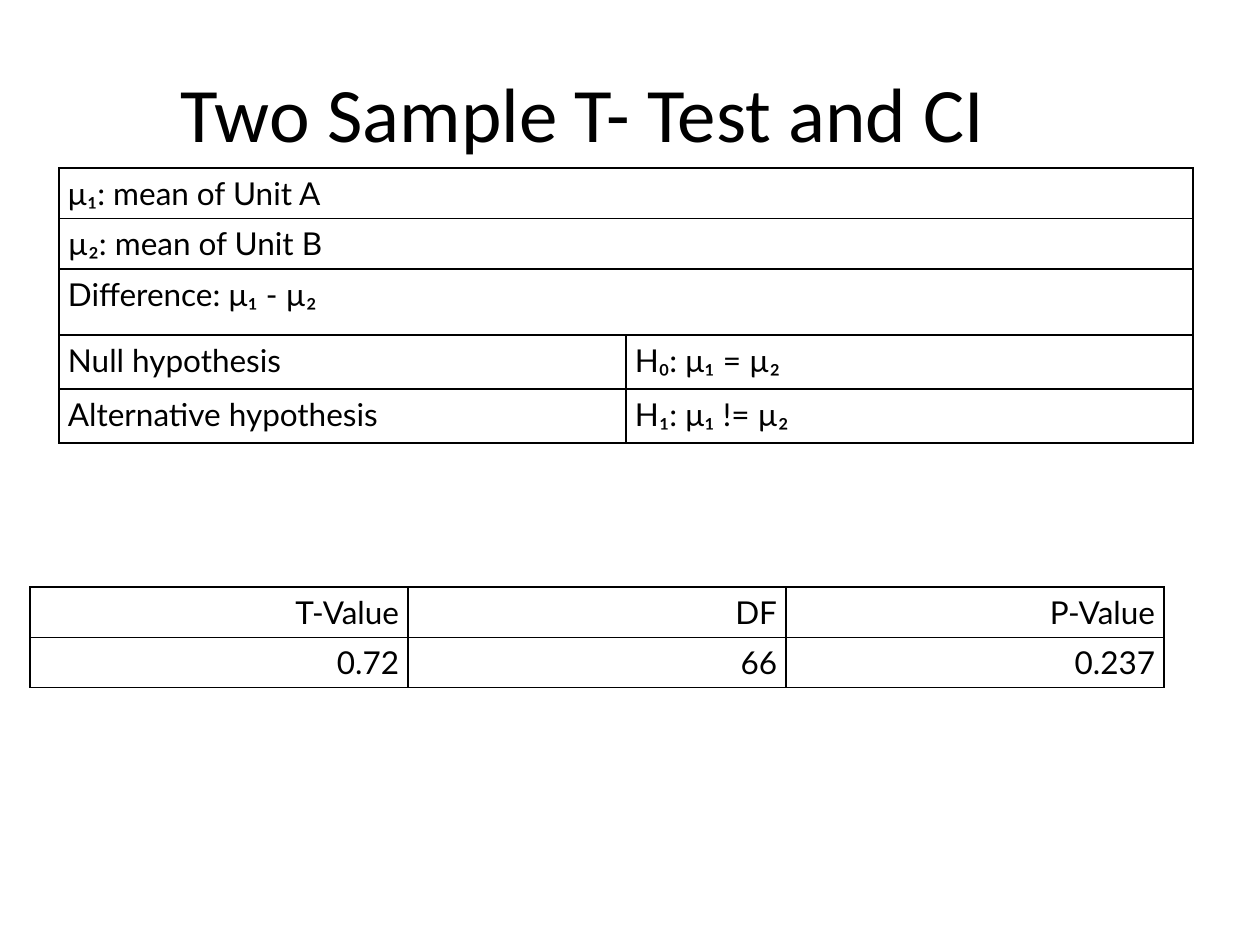
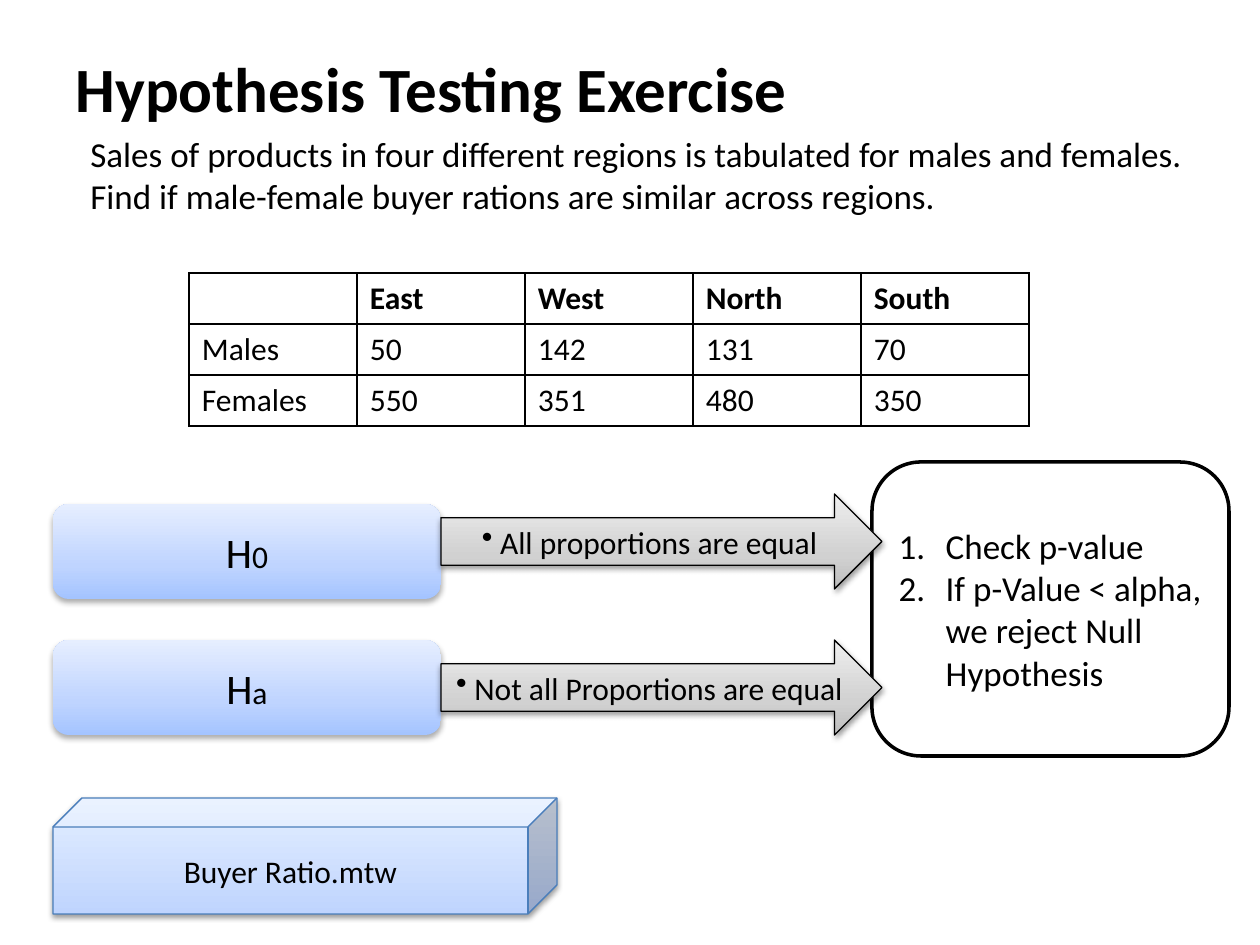
"""Build two slides on two-sample tests and a hypothesis testing exercise."""
from dataclasses import dataclass
from typing import Optional

from lxml import etree
from pptx import Presentation
from pptx import util as u
from pptx.dml.color import RGBColor
from pptx.enum import shapes, text
from pptx.oxml import ns

PX_PER_INCH = 126
TITLE_ONLY = 5


@dataclass(frozen=True)
class Theme:
    """Fonts, type sizes in points, and colours."""
    heading_font: str = "Calibri"
    data_font: str = "Lato"
    title: int = 44
    subtitle: int = 36
    symbol: int = 24
    body: int = 20
    label: int = 18
    ink: str = "000000"
    paper: str = "FFFFFF"
    cube_edge: str = "4A7EBB"
    cube_blue: tuple = ((0, "BFD4FE"), (100, "E5EFFF"))
    box_blue: tuple = ((0, "A4C4FF"), (35, "BFD4FF"), (100, "E6EEFF"))
    arrow_grey: tuple = ((0, "BDBDBD"), (35, "D1D1D1"), (100, "EEEEEE"))


THEME = Theme()


@dataclass(frozen=True)
class Box:
    """A rectangle in px."""
    left: int
    top: int
    width: int
    height: int

    def emu(self) -> tuple:
        """Return the rectangle in EMU."""
        return tuple(px(n) for n in (self.left, self.top, self.width, self.height))


@dataclass(frozen=True)
class Shadow:
    """A downward shadow: opacity in percent, blur and distance in points."""
    opacity: int
    blur: float
    distance: float


@dataclass(frozen=True)
class Grid:
    """A table with equal columns and its cell format."""
    left: int
    top: int
    column: int
    heights: tuple
    rows: tuple
    font: str = THEME.data_font
    align: text.PP_ALIGN = text.PP_ALIGN.LEFT
    inset: int = 9
    border: float = 1
    bold_header: bool = False


@dataclass(frozen=True)
class Panel:
    """A preset shape with its look."""
    kind: shapes.MSO_SHAPE
    gradient: tuple = ()
    line: Optional[str] = None
    weight: float = 0.75
    shadow: Optional[Shadow] = None


SOFT = Shadow(38, 3.1, 1.6)
DEEP = Shadow(32, 3.5, 2.2)
HYPOTHESIS = Panel(shapes.MSO_SHAPE.ROUNDED_RECTANGLE, THEME.box_blue, shadow=DEEP)
CLAIM = Panel(shapes.MSO_SHAPE.RIGHT_ARROW, THEME.arrow_grey, THEME.ink, shadow=SOFT)
DECISION = Panel(shapes.MSO_SHAPE.ROUNDED_RECTANGLE, line=THEME.ink, weight=2)
DATA_FILE = Panel(shapes.MSO_SHAPE.CUBE, THEME.cube_blue, THEME.cube_edge, shadow=SOFT)

MEANS = Grid(59, 168, 1134, (44, 44, 170), (
    ("μ₁: mean of Unit A",), ("µ₂: mean of Unit B",), ("Difference: μ₁ - µ₂",)))
HYPOTHESES = Grid(59, 335, 567, (54, 54), (
    ("Null hypothesis", "H₀: μ₁ = µ₂"), ("Alternative hypothesis", "H₁: μ₁ != µ₂")))
RESULTS = Grid(30, 587, 378, (50, 50), (
    ("T-Value", "DF", "P-Value"), ("0.72", "66", "0.237")),
    align=text.PP_ALIGN.RIGHT, border=0.75)
SALES = Grid(189, 273, 168, (51, 51, 51), (
    ("", "East", "West", "North", "South"),
    ("Males", "50", "142", "131", "70"),
    ("Females", "550", "351", "480", "350")),
    font=THEME.heading_font, inset=13, bold_header=True)


def px(length: int) -> u.Emu:
    """Turn px into EMU."""
    return u.Emu(round(length * 914400 / PX_PER_INCH))


def add_node(parent, tag: str, **attributes):
    """Append a DrawingML element."""
    return etree.SubElement(parent, ns.qn(f"a:{tag}"),
                            {key: str(value) for key, value in attributes.items()})


def write(frame, content: str, *, size: int = THEME.label, font: str = THEME.heading_font,
          bold: bool = False, align=text.PP_ALIGN.LEFT, anchor=text.MSO_ANCHOR.MIDDLE,
          tail: str = "", tail_size: int = THEME.label, before: float = 0,
          margin: int = 0, indent: int = 0, bullet: str = "", numbered: bool = False) -> None:
    """Fill a text frame, one paragraph per line of content."""
    frame.word_wrap = True
    frame.vertical_anchor = anchor
    for index, line in enumerate(content.split("\n")):
        paragraph = frame.add_paragraph() if index else frame.paragraphs[0]
        paragraph.alignment = align
        paragraph.space_before = u.Pt(before)
        properties = paragraph._p.get_or_add_pPr()
        properties.set("marL", str(px(margin)))
        properties.set("indent", str(px(indent)))
        if bullet:
            add_node(properties, "buChar", char=bullet)
        elif numbered:
            add_node(properties, "buFont", typeface="+mj-lt")
            add_node(properties, "buAutoNum", type="arabicPeriod")
        for words, points in ((line, size), (tail, tail_size)):
            if words:
                run = paragraph.add_run()
                run.text = words
                run.font.name, run.font.size, run.font.bold = font, u.Pt(points), bold
                run.font.color.rgb = RGBColor.from_string(THEME.ink)


def add_titled_slide(deck, heading: str, box: Box, **style):
    """Add a title-only slide with its title placed and formatted."""
    slide = deck.slides.add_slide(deck.slide_layouts[TITLE_ONLY])
    title = slide.shapes.title
    title.left, title.top, title.width, title.height = box.emu()
    write(title.text_frame, heading, **style)
    return slide


def add_borders(cell, weight: float) -> None:
    """Draw all four borders of a cell."""
    properties = cell._tc.get_or_add_tcPr()
    for side in "LRTB":
        border = add_node(properties, f"ln{side}", w=u.Pt(weight))
        add_node(add_node(border, "solidFill"), "srgbClr", val=THEME.ink)


def add_grid(slide, grid: Grid) -> None:
    """Add a plain bordered table."""
    columns = len(grid.rows[0])
    box = Box(grid.left, grid.top, grid.column * columns, sum(grid.heights))
    table = slide.shapes.add_table(len(grid.rows), columns, *box.emu()).table
    table.first_row = table.horz_banding = False
    for column in table.columns:
        column.width = px(grid.column)
    for index, (height, values) in enumerate(zip(grid.heights, grid.rows)):
        table.rows[index].height = px(height)
        for cell, value in zip(table.rows[index].cells, values):
            cell.margin_left = cell.margin_right = px(grid.inset)
            add_borders(cell, grid.border)
            cell.fill.solid()
            cell.fill.fore_color.rgb = RGBColor.from_string(THEME.paper)
            write(cell.text_frame, value, font=grid.font, align=grid.align,
                  anchor=text.MSO_ANCHOR.TOP, bold=grid.bold_header and index == 0)


def paint_gradient(shape, stops: tuple) -> None:
    """Fill a shape with a gradient that runs upwards."""
    shape.fill.gradient()
    gradient = shape._element.spPr.find(ns.qn("a:gradFill"))
    for child in list(gradient):
        gradient.remove(child)
    stop_list = add_node(gradient, "gsLst")
    for position, colour in stops:
        add_node(add_node(stop_list, "gs", pos=position * 1000), "srgbClr", val=colour)
    add_node(gradient, "lin", ang=270 * 60000, scaled=0)


def cast_shadow(shape, shadow: Shadow) -> None:
    """Put a downward shadow on a shape."""
    effects = shape._element.spPr.find(ns.qn("a:effectLst"))
    outer = add_node(effects, "outerShdw", blurRad=u.Pt(shadow.blur),
                     dist=u.Pt(shadow.distance), dir=90 * 60000, rotWithShape=0)
    add_node(add_node(outer, "srgbClr", val=THEME.ink), "alpha", val=shadow.opacity * 1000)


def add_panel(slide, panel: Panel, box: Box, content: str, **style) -> None:
    """Add a preset shape with text."""
    shape = slide.shapes.add_shape(panel.kind, *box.emu())
    if panel.gradient:
        paint_gradient(shape, panel.gradient)
    else:
        shape.fill.solid()
        shape.fill.fore_color.rgb = RGBColor.from_string(THEME.paper)
    if panel.line:
        shape.line.color.rgb = RGBColor.from_string(panel.line)
        shape.line.width = u.Pt(panel.weight)
    else:
        shape.line.fill.background()
    shape.shadow.inherit = False
    if panel.shadow:
        cast_shadow(shape, panel.shadow)
    write(shape.text_frame, content, **style)


def build_t_test(deck) -> None:
    """Build the two-sample t-test slide."""
    slide = add_titled_slide(deck, "Two Sample T- Test and CI", Box(16, 33, 1134, 158),
                             size=THEME.title, align=text.PP_ALIGN.CENTER)
    for grid in (MEANS, HYPOTHESES, RESULTS):
        add_grid(slide, grid)


def build_exercise(deck) -> None:
    """Build the hypothesis testing exercise slide."""
    centre = text.PP_ALIGN.CENTER
    slide = add_titled_slide(deck, "Hypothesis Testing Exercise", Box(63, 38, 1134, 98),
                             size=THEME.subtitle, bold=True)
    question = slide.shapes.add_textbox(*Box(31, 126, 1207, 787).emu())
    write(question.text_frame,
          "Sales of products in four different regions is tabulated for males and females. "
          "Find if male-female buyer rations are similar across regions.",
          size=THEME.body, anchor=text.MSO_ANCHOR.TOP, before=4, margin=47)
    add_grid(slide, SALES)
    add_panel(slide, DECISION, Box(872, 462, 357, 294),
              "Check p-value\nIf p-Value < alpha, we reject Null Hypothesis",
              size=THEME.body, margin=47, indent=-47, numbered=True)
    add_panel(slide, DATA_FILE, Box(53, 798, 504, 116), "Buyer Ratio.mtw", align=centre)
    for mark, box_top, arrow_top, claim in (
            ("0", 504, 494, " All proportions are equal"),
            ("a", 640, 640, " Not all Proportions are equal")):
        add_panel(slide, HYPOTHESIS, Box(53, box_top, 388, 95), "H",
                  size=THEME.symbol, tail=mark, align=centre)
        add_panel(slide, CLAIM, Box(441, arrow_top, 441, 95), claim,
                  align=centre, bullet="•")


def main() -> None:
    """Build and save the deck."""
    deck = Presentation()
    deck.slide_width, deck.slide_height = px(1260), px(945)
    build_t_test(deck)
    build_exercise(deck)
    deck.save("out.pptx")


if __name__ == "__main__":
    main()
